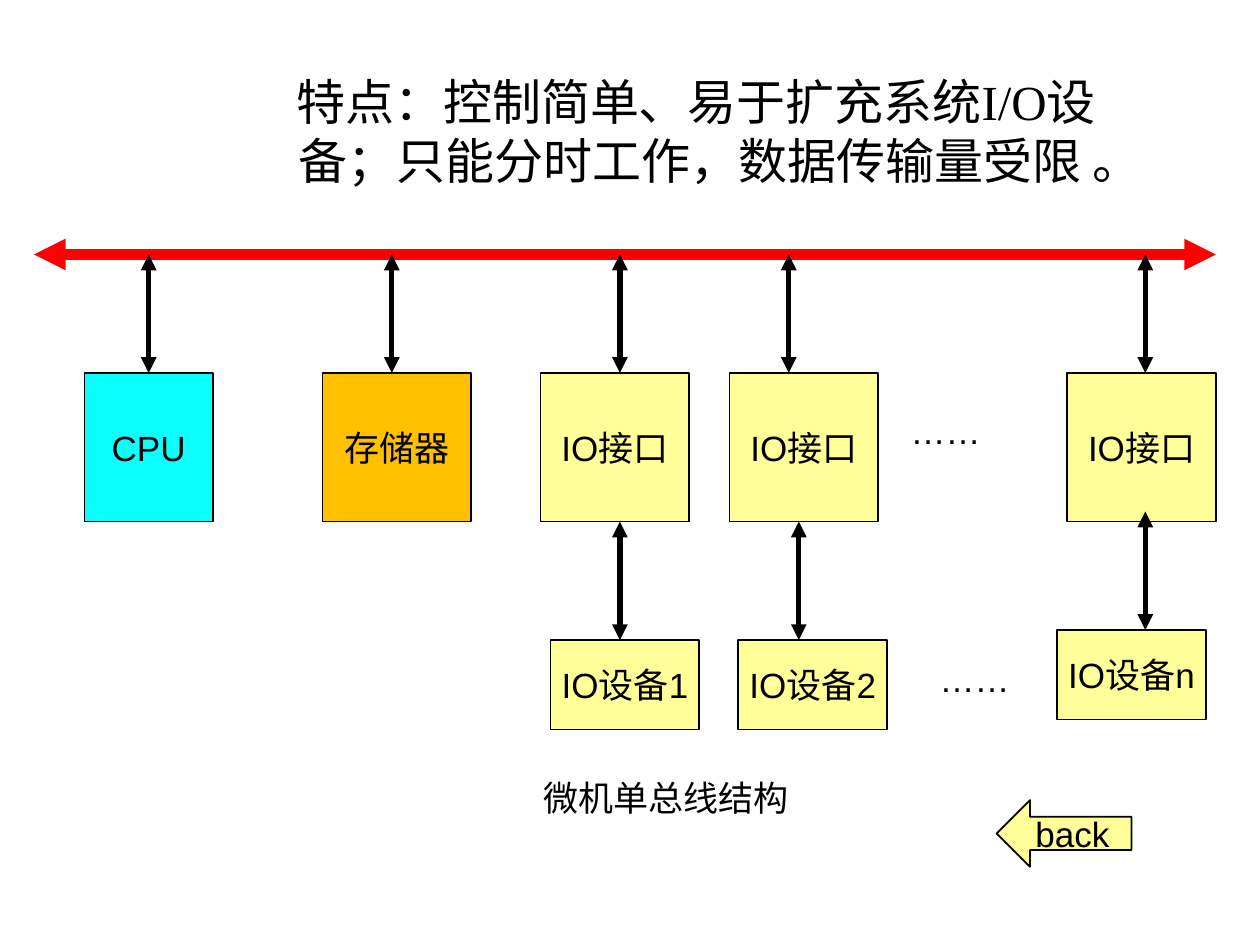
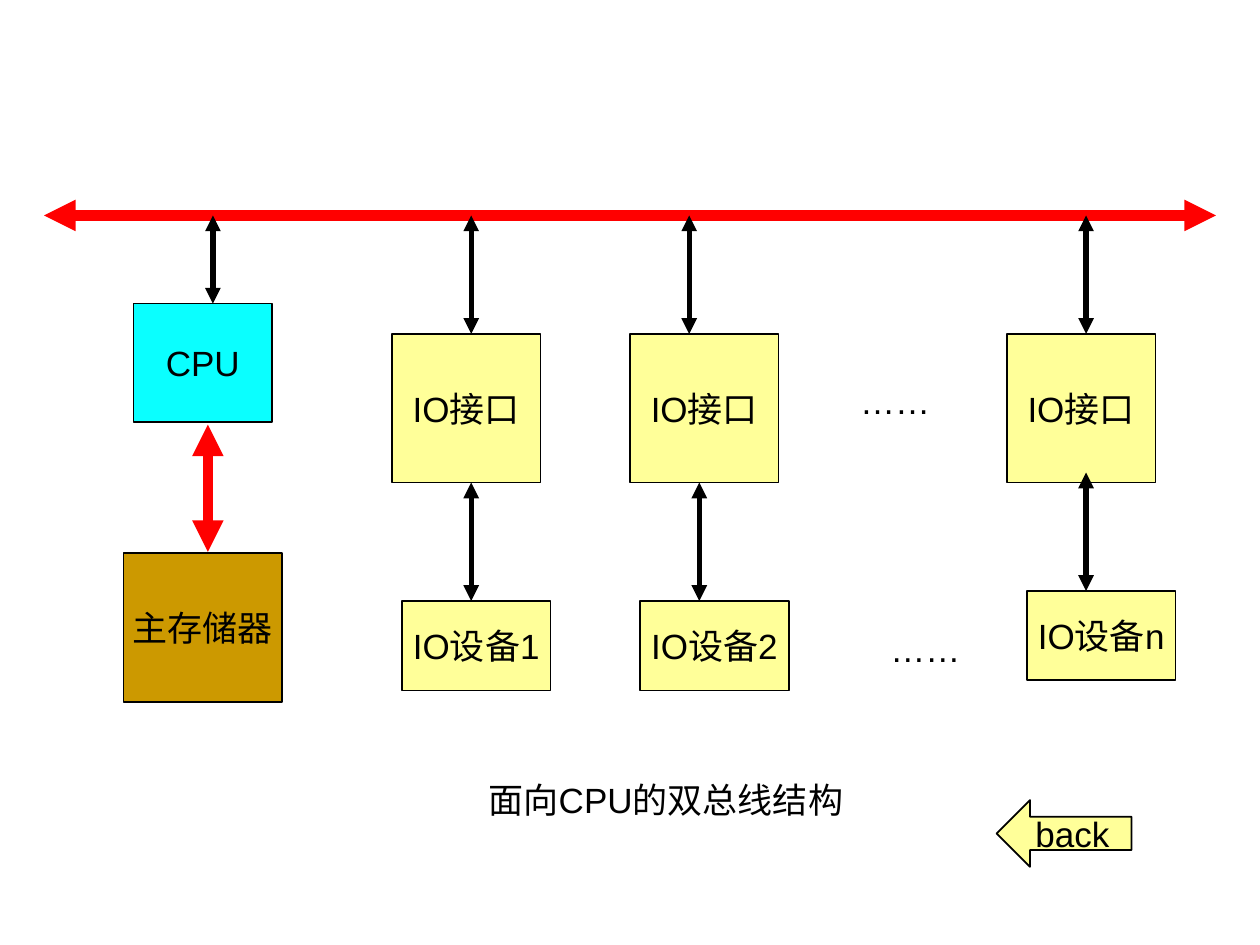
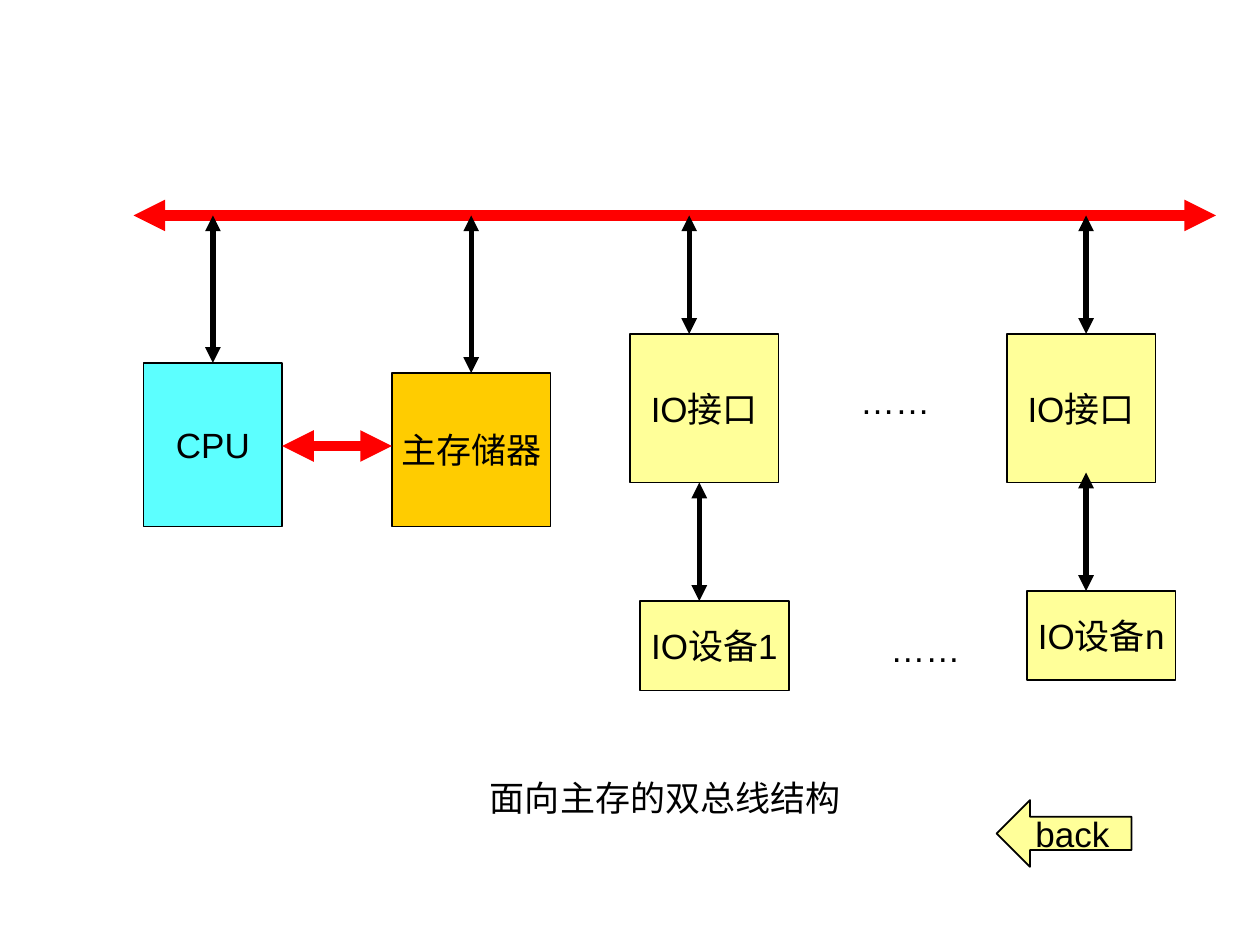
from lxml import etree
from pptx import Presentation
from pptx.dml.color import RGBColor
from pptx.enum import shapes, text
from pptx.oxml.ns import qn
from pptx.util import Inches, Pt

BLACK = RGBColor(0x00, 0x00, 0x00)
RED = RGBColor(0xFF, 0x00, 0x00)
CYAN = RGBColor(0x0A, 0xFF, 0xFF)
LIGHT_CYAN = RGBColor(0x5C, 0xFF, 0xFF)
ORANGE = RGBColor(0xFF, 0xC0, 0x00)
GOLD = RGBColor(0xFF, 0xCC, 0x00)
BROWN = RGBColor(0xCC, 0x99, 0x00)
YELLOW = RGBColor(0xFF, 0xFF, 0x99)

BUS_GAP = 0.94          # from the bus down to the interfaces
INTERFACE_SIZE = 1.18
DEVICE_GAP = 0.94       # from an interface down to its device
DEVICE_HEIGHT = 0.71
LAST_LIFT = 0.08        # the last device sits a little higher
DOTS_SIZE = (0.95, 0.44)
BACK_BOX = (7.91, 6.35, 1.07, 0.53)
FEATURES_BOX = (1.46, 0.52, 7.7, 1.04)

# blocks: label, fill, box; links: from, to
# units: interface left, bus link x, device left, device link x
DIAGRAMS = [
    {
        "features": "特点：控制简单、易于扩充系统I/O设备；只能分时工作，数据传输量受限 。",
        "caption": ("微机单总线结构", (4.21, 6.11, 2.15, 0.44)),
        "bus": (0.27, 9.65),
        "interface_top": 2.96,
        "blocks": [
            ("CPU", CYAN, (0.67, 2.96, 1.02, 1.18)),
            ("存储器", ORANGE, (2.56, 2.96, 1.18, 1.18)),
        ],
        "bus_links": [(1.18, 2.96), (3.11, 2.96)],
        "memory_links": [],
        "units": [
            (4.29, 4.92, 4.37, 4.92),
            (5.79, 6.26, 5.86, 6.34),
            (8.47, 9.09, 8.39, 9.09),
        ],
        "dots": [(7.03, 3.2), (7.26, 5.17)],
    },
    {
        "caption": ("面向CPU的双总线结构", (3.71, 6.13, 3.15, 0.44)),
        "bus": (0.35, 9.65),
        "interface_top": 2.65,
        "blocks": [
            ("CPU", CYAN, (1.06, 2.41, 1.1, 0.94)),
            ("主存储器", BROWN, (0.98, 4.39, 1.26, 1.18)),
        ],
        "bus_links": [(1.69, 2.41)],
        "memory_links": [((1.65, 3.37), (1.65, 4.38))],
        "units": [
            (3.11, 3.74, 3.19, 3.74),
            (5, 5.47, 5.08, 5.55),
            (7.99, 8.62, 8.15, 8.62),
        ],
        "dots": [(6.63, 2.96), (6.87, 4.93)],
    },
    {
        "caption": ("面向主存的双总线结构", (3.79, 6.11, 2.98, 0.44)),
        "bus": (1.06, 9.65),
        "interface_top": 2.65,
        "blocks": [
            ("CPU", LIGHT_CYAN, (1.14, 2.88, 1.1, 1.3)),
            ("主存储器", GOLD, (3.11, 2.96, 1.26, 1.22)),
        ],
        "bus_links": [(1.69, 2.88), (3.74, 2.96)],
        "memory_links": [((2.24, 3.54), (3.11, 3.54))],
        "units": [
            (5, 5.47, 5.08, 5.55),
            (7.99, 8.62, 8.15, 8.62),
        ],
        "dots": [(6.63, 2.96), (6.87, 4.93)],
    },
]


def write(shape, content, size=20, font="Arial", wrap=False,
          anchor=text.MSO_ANCHOR.MIDDLE):
    frame = shape.text_frame
    frame.word_wrap = wrap
    frame.vertical_anchor = anchor
    paragraph = frame.paragraphs[0]
    paragraph.alignment = text.PP_ALIGN.CENTER
    run = paragraph.add_run()
    run.text = content
    run.font.size = Pt(size)
    run.font.name = font
    run.font.color.rgb = BLACK
    return paragraph


def add_label(slide, content, box, **text_format):
    shape = slide.shapes.add_textbox(*map(Inches, box))
    paragraph = write(shape, content, anchor=text.MSO_ANCHOR.TOP, **text_format)
    shape.text_frame.auto_size = text.MSO_AUTO_SIZE.SHAPE_TO_FIT_TEXT
    return paragraph


def add_block(slide, content, fill, box, kind=shapes.MSO_SHAPE.RECTANGLE):
    shape = slide.shapes.add_shape(kind, *map(Inches, box))
    shape.shadow.inherit = False
    shape.fill.solid()
    shape.fill.fore_color.rgb = fill
    shape.line.color.rgb = BLACK
    shape.line.width = Pt(1)
    write(shape, content)


def add_link(slide, start, end, color=BLACK, width=3):
    """Draw a line with an arrowhead at both ends."""
    connector = slide.shapes.add_connector(
        shapes.MSO_CONNECTOR.STRAIGHT, *map(Inches, start + end))
    connector.line.color.rgb = color
    connector.line.width = Pt(width)
    outline = connector.line._get_or_add_ln()
    for end_name in ("a:headEnd", "a:tailEnd"):
        etree.SubElement(outline, qn(end_name), type="triangle")
    etree.SubElement(connector._element.spPr, qn("a:effectLst"))


def add_features(slide, content):
    paragraph = add_label(slide, content, FEATURES_BOX, size=28,
                          font="Times New Roman", wrap=True)
    paragraph.level = 2
    properties = paragraph._p.get_or_add_pPr()
    properties.set("marL", str(Inches(0.81)))
    properties.set("indent", str(Inches(-0.38)))
    properties.set("hangingPunct", "0")


def add_diagram(slide, diagram):
    interface_top = diagram["interface_top"]
    interface_bottom = interface_top + INTERFACE_SIZE
    bus_y = interface_top - BUS_GAP
    units = diagram["units"]
    links = [((x, bus_y), (x, top)) for x, top in diagram["bus_links"]]

    for label, fill, box in diagram["blocks"]:
        add_block(slide, label, fill, box)
    for number, unit in enumerate(units, start=1):
        interface_left, bus_x, device_left, device_x = unit
        is_last = number == len(units)
        link_top = interface_bottom - (LAST_LIFT if is_last else 0)
        device_top = link_top + DEVICE_GAP
        add_block(slide, "IO接口", YELLOW,
                  (interface_left, interface_top, INTERFACE_SIZE, INTERFACE_SIZE))
        add_block(slide, f"IO设备{'n' if is_last else number}", YELLOW,
                  (device_left, device_top, INTERFACE_SIZE, DEVICE_HEIGHT))
        links.append(((bus_x, bus_y), (bus_x, interface_top)))
        links.append(((device_x, link_top), (device_x, device_top)))

    bus_left, bus_right = diagram["bus"]
    add_link(slide, (bus_left, bus_y), (bus_right, bus_y), color=RED, width=6)
    for start, end in diagram["memory_links"]:
        add_link(slide, start, end, color=RED, width=6)
    for start, end in links:
        add_link(slide, start, end)

    for corner in diagram["dots"]:
        add_label(slide, "……", corner + DOTS_SIZE)
    add_label(slide, *diagram["caption"])
    if "features" in diagram:
        add_features(slide, diagram["features"])
    add_block(slide, "back", YELLOW, BACK_BOX, kind=shapes.MSO_SHAPE.LEFT_ARROW)


def main():
    presentation = Presentation()
    presentation.slide_width = Inches(10)
    presentation.slide_height = Inches(7.5)
    for diagram in DIAGRAMS:
        slide = presentation.slides.add_slide(presentation.slide_layouts[6])
        add_diagram(slide, diagram)
    presentation.save("out.pptx")


if __name__ == "__main__":
    main()
